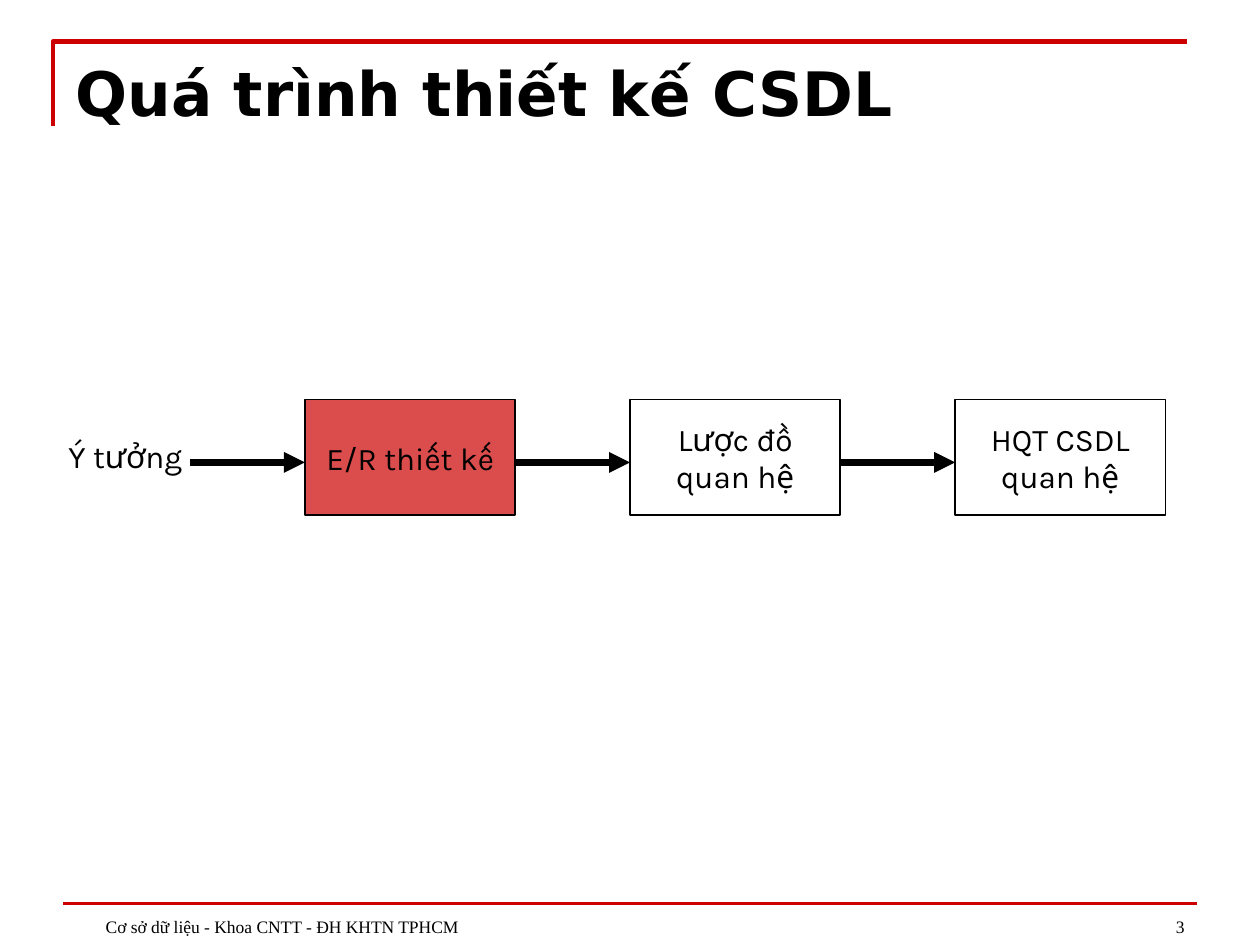
"""Builds a slide showing the database design process as a left-to-right flow."""
from lxml import etree
from pptx import Presentation
from pptx.dml.color import RGBColor
from pptx.enum.shapes import MSO_CONNECTOR, MSO_SHAPE
from pptx.enum.text import MSO_ANCHOR, PP_ALIGN
from pptx.oxml.ns import qn
from pptx.util import Inches, Pt

RECTANGLE = MSO_SHAPE.RECTANGLE
STRAIGHT = MSO_CONNECTOR.STRAIGHT
LEFT, CENTER, RIGHT = PP_ALIGN.LEFT, PP_ALIGN.CENTER, PP_ALIGN.RIGHT
TOP, MIDDLE, BOTTOM = MSO_ANCHOR.TOP, MSO_ANCHOR.MIDDLE, MSO_ANCHOR.BOTTOM

COLORS = {"accent": "CC0000", "ink": "000000"}

TITLE = "Quá trình thiết kế CSDL"
START = "Ý tưởng"
STEPS = [("E/R thiết kế", True), ("Lược đồ quan hệ", False), ("HQT CSDL quan hệ", False)]
FOOTERS = [
    ("Cơ sở dữ liệu - Khoa CNTT - ĐH KHTN TPHCM", 0.5, 6.08, LEFT),
    ("3", 7.17, 2.33, RIGHT),
]

TITLE_RULE = [(0.42, 1), (0.42, 0.33), (9.42, 0.33)]
STEP_LEFT, STEP_TOP, STEP_WIDTH, STEP_HEIGHT = 2.42, 3.17, 1.67, 0.92
STEP_PITCH = 2.58
ARROW_Y = 3.67
ARROW_LENGTH = STEP_PITCH - STEP_WIDTH
FILL_OPACITY = 70


def color(name):
    return RGBColor.from_string(COLORS[name])


def set_line(shape, name, width):
    shape.line.color.rgb = color(name)
    shape.line.width = Pt(width)


def write(shape, text, font="Karla", size=18, bold=False, align=CENTER, anchor=TOP, margin=0):
    frame = shape.text_frame
    frame.word_wrap = True
    frame.vertical_anchor = anchor
    paragraph = frame.paragraphs[0]
    paragraph.alignment = align
    if margin:
        properties = paragraph._p.get_or_add_pPr()
        properties.set("marL", str(Inches(margin)))
        properties.set("indent", "0")
    run = paragraph.add_run()
    run.text = text
    run.font.name = font
    run.font.size = Pt(size)
    run.font.bold = bold
    run.font.color.rgb = color("ink")


def add_text(slide, text, left, top, width, height, **style):
    box = slide.shapes.add_textbox(Inches(left), Inches(top), Inches(width), Inches(height))
    write(box, text, **style)


def add_line(slide, left, right, y, name, width, arrow=False):
    line = slide.shapes.add_connector(STRAIGHT, Inches(left), Inches(y), Inches(right), Inches(y))
    set_line(line, name, width)
    if arrow:
        etree.SubElement(line.line._get_or_add_ln(), qn("a:tailEnd"), type="triangle")
    etree.SubElement(line._element.spPr, qn("a:effectLst"))


def add_title_rule(slide):
    points = [(Inches(x), Inches(y)) for x, y in TITLE_RULE]
    builder = slide.shapes.build_freeform(*points[0])
    builder.add_line_segments(points[1:], close=False)
    rule = builder.convert_to_shape()
    rule.shadow.inherit = False
    rule.fill.background()
    set_line(rule, "accent", 2.5)


def add_step(slide, text, left, active):
    step = slide.shapes.add_shape(
        RECTANGLE, Inches(left), Inches(STEP_TOP), Inches(STEP_WIDTH), Inches(STEP_HEIGHT))
    step.shadow.inherit = False
    if active:
        step.fill.solid()
        step.fill.fore_color.rgb = color("accent")
        fill_color = step._element.spPr.find(qn("a:solidFill")).find(qn("a:srgbClr"))
        etree.SubElement(fill_color, qn("a:alpha"), val=str(FILL_OPACITY * 1000))
    else:
        step.fill.background()
    set_line(step, "ink", 1)
    write(step, text, anchor=MIDDLE)


def main():
    presentation = Presentation()
    presentation.slide_width, presentation.slide_height = Inches(10), Inches(7.5)
    slide = presentation.slides.add_slide(presentation.slide_layouts[6])

    add_title_rule(slide)
    add_line(slide, 0.5, 9.5, 7.17, "accent", 2)
    add_text(slide, TITLE, 0.5, 0.39, 9, 0.68, font="DejaVu Sans", size=35, bold=True, align=LEFT)

    add_text(slide, START, 0.33, 3.42, 1.33, 0.4)
    for index, (text, active) in enumerate(STEPS):
        left = STEP_LEFT + index * STEP_PITCH
        add_step(slide, text, left, active)
        add_line(slide, left - ARROW_LENGTH, left, ARROW_Y, "ink", 4, arrow=True)

    for text, left, width, align in FOOTERS:
        add_text(slide, text, left, 6.99, width, 0.5, font="Times New Roman", size=10,
                 align=align, anchor=BOTTOM, margin=0.24)

    presentation.save("out.pptx")


if __name__ == "__main__":
    main()
